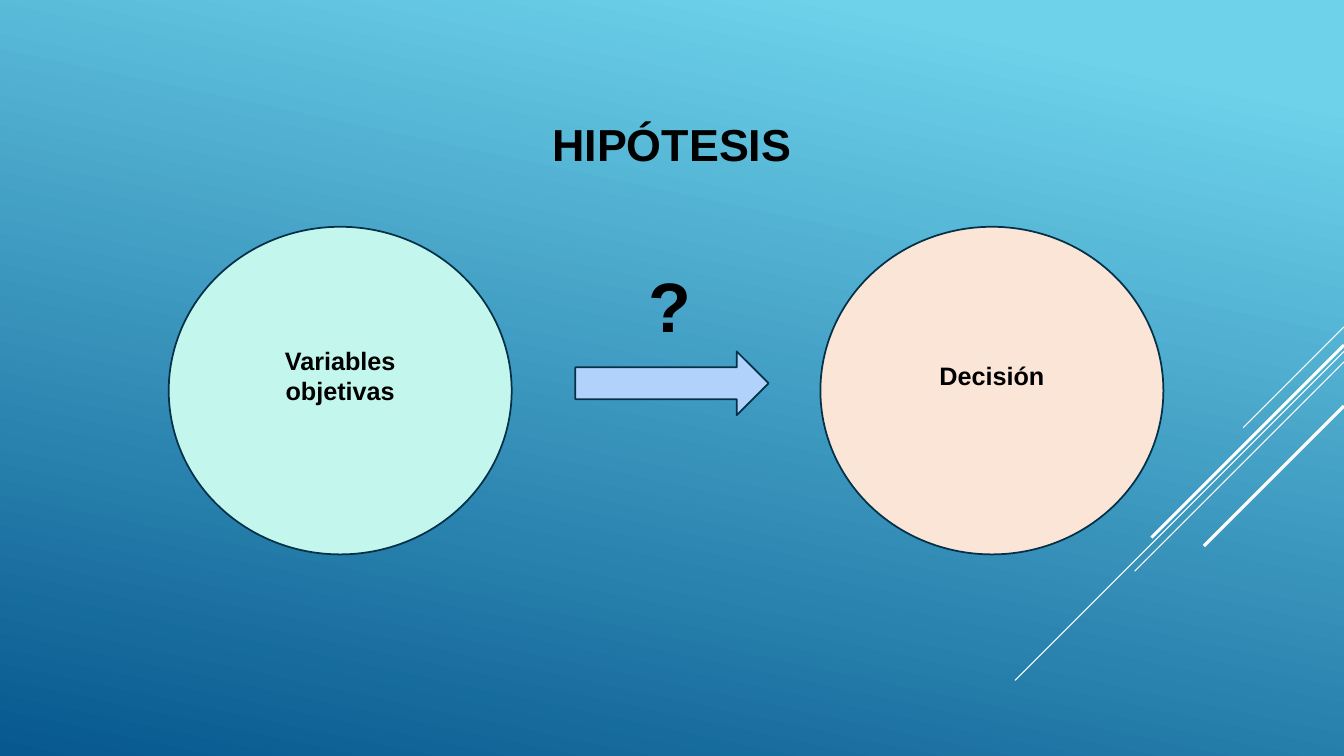
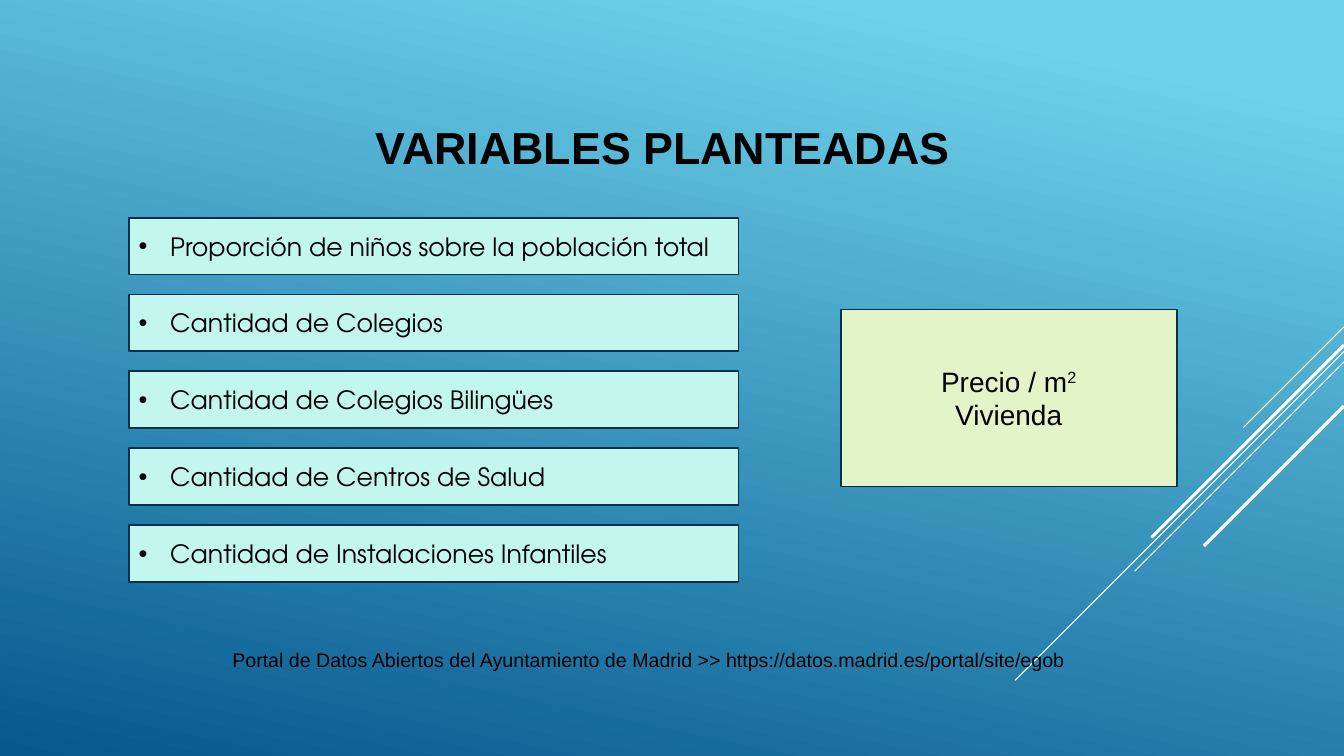
from lxml import etree
from pptx import Presentation
from pptx.dml.color import RGBColor
from pptx.enum.shapes import MSO_CONNECTOR, MSO_SHAPE
from pptx.enum.text import MSO_ANCHOR, PP_ALIGN
from pptx.oxml.ns import qn
from pptx.util import Pt

LEFT, CENTER = PP_ALIGN.LEFT, PP_ALIGN.CENTER
MIDDLE = MSO_ANCHOR.MIDDLE
RECT, OVAL, ARROW = MSO_SHAPE.RECTANGLE, MSO_SHAPE.OVAL, MSO_SHAPE.RIGHT_ARROW
STRAIGHT = MSO_CONNECTOR.STRAIGHT

WIDTH, HEIGHT = 960, 540
SANS, ROUND = "Arial", "TeX Gyre Adventor"
COLORS = {
    "sky": "6ED2EB", "deep": "06588E", "ink": "000000", "edge": "043148",
    "ray": "FFFFFF", "mint": "C3F7ED", "peach": "FAE5D7", "blue": "B1D3FB",
    "lime": "E3F4C9",
}
# Each ray runs down and left from the right edge: top, length per axis, weight
RAYS = [(233.5, 72, 0.75), (251, 235, 0.75), (258.5, 149.5, 0.75),
        (246.5, 137.5, 2.25), (290, 100, 2.25)]
FACTORS = [
    "Proporción de niños sobre la población total",
    "Cantidad de Colegios",
    "Cantidad de Colegios Bilingües",
    "Cantidad de Centros de Salud",
    "Cantidad de Instalaciones Infantiles",
]
SOURCE = ("Portal de Datos Abiertos del Ayuntamiento de Madrid >> "
          "https://datos.madrid.es/portal/site/egob")


def color(name):
    return RGBColor.from_string(COLORS[name])


def points(box):
    return [Pt(v) for v in box]


def style(para, size, face=SANS, bold=False, align=CENTER):
    para.alignment = align
    font = para.font
    font.size, font.name, font.bold = Pt(size), face, bold
    font.color.rgb = color("ink")


def write(shape, lines, size, **look):
    frame = shape.text_frame
    frame.word_wrap = True
    frame.text = "\n".join(lines)
    for para in frame.paragraphs:
        style(para, size, **look)
    return frame


def panel(slide, kind, box, fill):
    shape = slide.shapes.add_shape(kind, *points(box))
    shape.shadow.inherit = False
    shape.fill.solid()
    shape.fill.fore_color.rgb = color(fill)
    shape.line.color.rgb = color("edge")
    shape.line.width = Pt(1.25)
    shape.text_frame.vertical_anchor = MIDDLE
    return shape


def label(slide, box, text, size, **look):
    write(slide.shapes.add_textbox(*points(box)), [text], size, **look)


def add_slide(prs, title, box):
    slide = prs.slides.add_slide(prs.slide_layouts[5])
    head = slide.shapes.title
    head.left, head.top, head.width, head.height = points(box)
    write(head, [title], 32, bold=True).vertical_anchor = MIDDLE
    return slide


def dress(master, slide):
    """Give the master its gradient and rays; the slide only makes the lines."""
    fill = master.background.fill
    fill.gradient()
    fill.gradient_angle = 360 - 102
    for stop, (place, name) in zip(fill.gradient_stops, [(0.1, "sky"), (1, "deep")]):
        stop.position = place
        stop.color.rgb = color(name)
    for num, (top, run, weight) in enumerate(RAYS, 20):
        ray = slide.shapes.add_connector(
            STRAIGHT, *points((WIDTH, top, WIDTH - run, top + run)))
        ray.line.color.rgb = color("ray")
        ray.line.width = Pt(weight)
        etree.SubElement(ray.element.spPr, qn("a:effectLst"))
        ray.element.nvCxnSpPr.cNvPr.set("id", str(num))
        master.shapes.element.append(ray.element)


def circle(slide, box, text, fill):
    shape = panel(slide, OVAL, box, fill)
    write(shape, [text], 18, bold=True).margin_bottom = Pt(25)


def bullet(shape, indent):
    for props in shape.element.iter(qn("a:pPr")):
        props.set("marL", str(Pt(indent)))
        props.set("indent", str(-Pt(indent)))
        font = etree.Element(qn("a:buFont"), typeface=SANS)
        mark = etree.Element(qn("a:buChar"), char="•")
        props.insert(0, font)
        font.addnext(mark)


def factors(slide, box, items, row=40.5):
    """Stack one bulleted bar per item, evenly from top to bottom of the box."""
    left, top, width, height = box
    step = (height - row) / (len(items) - 1)
    for num, text in enumerate(items):
        bar = panel(slide, RECT, (left, top + num * step, width, row), "mint")
        write(bar, [text], 18, face=ROUND, align=LEFT)
        bullet(bar, 22.5)


def price(slide, box):
    shape = panel(slide, RECT, box, "lime")
    frame = write(shape, ["Precio / m", "Vivienda"], 20)
    frame.paragraphs[0].add_run().text = "2"
    power = shape.element.findall(".//" + qn("a:r"))[1]
    power.get_or_add_rPr().set("baseline", "30000")


def theory(prs):
    slide = add_slide(prs, "HIPÓTESIS", (103, 66, 754, 73))
    panel(slide, ARROW, (411, 251, 138, 45.5), "blue")
    label(slide, (456, 184, 64, 68), "?", 50, bold=True, align=LEFT)
    circle(slide, (120.5, 162, 245, 234), "Variables objetivas", "mint")
    circle(slide, (586, 162, 245, 234), "Decisión", "peach")
    return slide


def inputs(prs):
    slide = add_slide(prs, "VARIABLES PLANTEADAS", (157.5, 54, 632, 101.5))
    factors(slide, (92, 155.5, 435.5, 260), FACTORS)
    label(slide, (108, 459, 711, 24), SOURCE, 14)
    price(slide, (600.5, 221, 240, 126.5))


def main():
    prs = Presentation()
    prs.slide_width, prs.slide_height = Pt(WIDTH), Pt(HEIGHT)
    first = theory(prs)
    dress(prs.slide_master, first)
    inputs(prs)
    prs.save("out.pptx")


if __name__ == "__main__":
    main()
